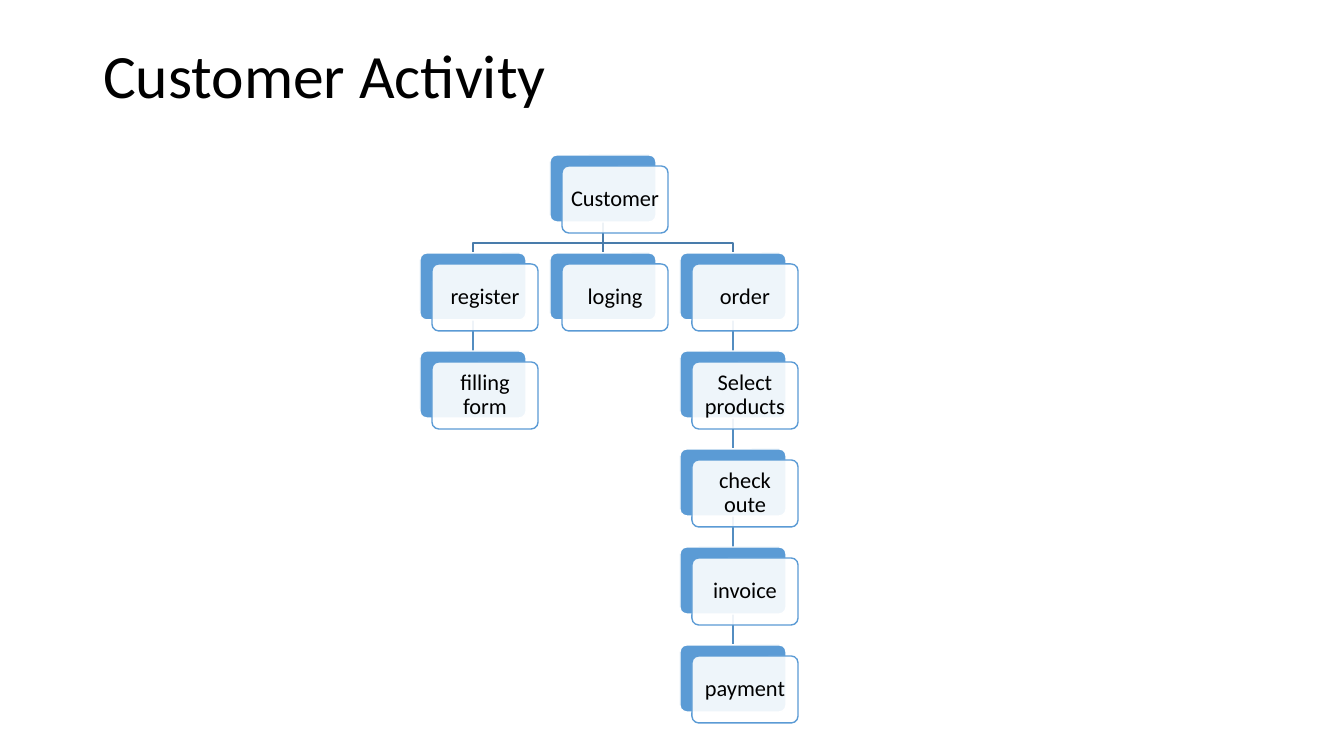
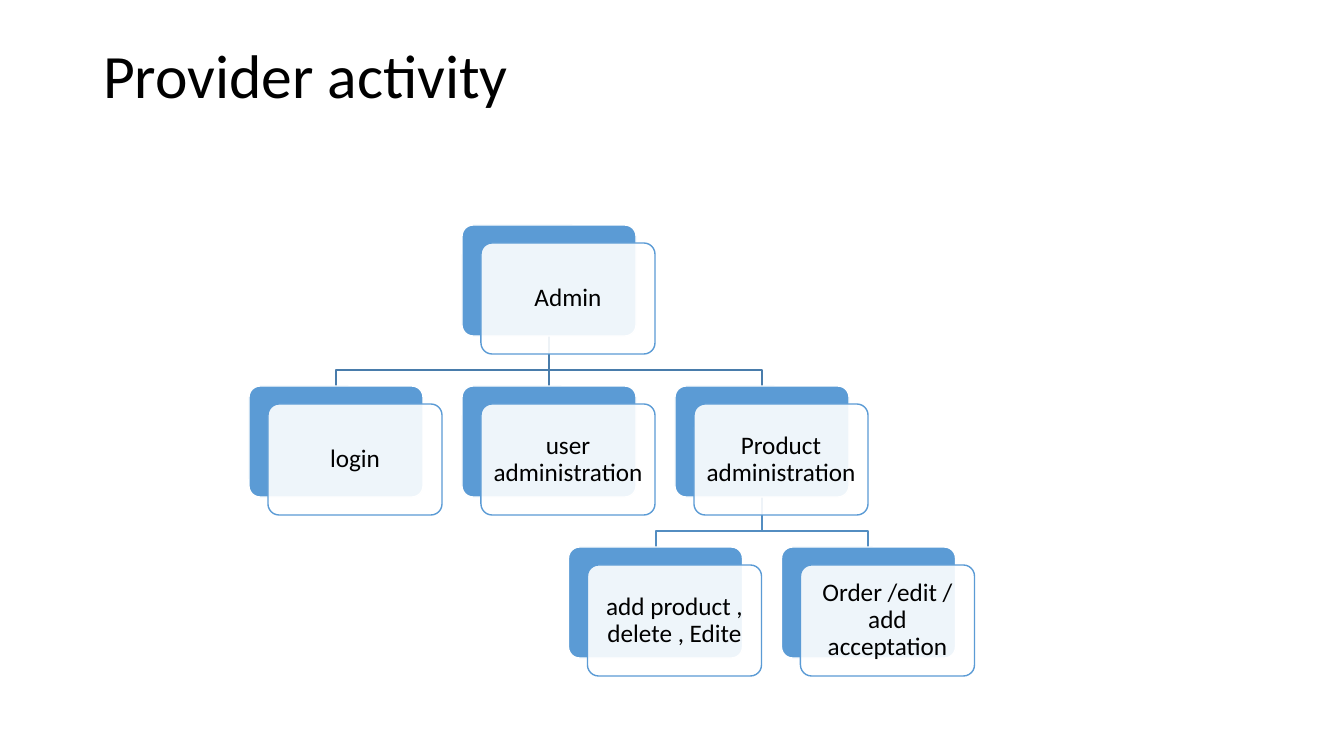
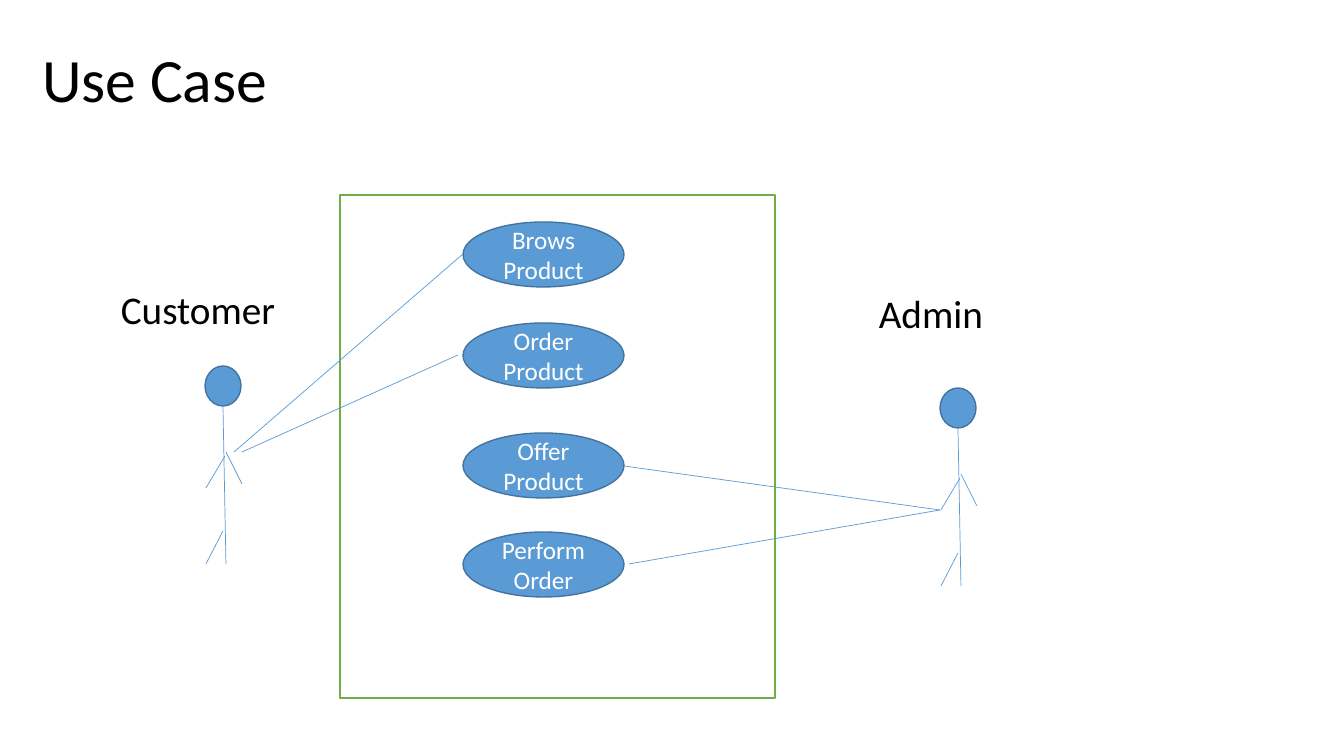
from dataclasses import dataclass

from lxml import etree
from pptx import Presentation
from pptx.dml.color import RGBColor
from pptx.enum.shapes import MSO_CONNECTOR as Connector, MSO_SHAPE as Preset
from pptx.enum.text import MSO_ANCHOR as Anchor, MSO_AUTO_SIZE as AutoSize, PP_ALIGN as Align
from pptx.oxml.ns import qn
from pptx.util import Pt

PX = 914400 / 100.8  # EMU in one pixel


@dataclass(frozen=True)
class Theme:
    """Colours, type sizes and line widths of the deck."""
    font: str = "Calibri"
    black: RGBColor = RGBColor.from_string("000000")
    white: RGBColor = RGBColor.from_string("FFFFFF")
    blue: RGBColor = RGBColor.from_string("5B9BD5")
    dark_blue: RGBColor = RGBColor.from_string("43739E")
    green: RGBColor = RGBColor.from_string("70AD47")
    first_link: RGBColor = RGBColor.from_string("497CAB")
    lower_link: RGBColor = RGBColor.from_string("538DC1")
    title_size: int = 44
    actor_size: int = 28
    case_size: int = 18
    provider_size: int = 18
    customer_size: int = 16
    outline: float = 1
    thin: float = 0.5


theme = Theme()


def add_box(shapes, preset, box, fill, line):
    """Add a filled, outlined preset shape; box is left, top, width, height in pixels."""
    shape = shapes.add_shape(preset, *[round(value * PX) for value in box])
    shape.shadow.inherit = False
    shape.fill.solid()
    shape.fill.fore_color.rgb = fill
    shape.line.color.rgb = line
    shape.line.width = Pt(theme.outline)
    return shape


def write(shape, text, size, color=theme.black, align=Align.LEFT, anchor=Anchor.MIDDLE, spacing=0.9):
    """Write one formatted run into a shape and return its text frame."""
    frame = shape.text_frame
    frame.word_wrap = True
    frame.auto_size = AutoSize.NONE
    frame.vertical_anchor = anchor
    paragraph = frame.paragraphs[0]
    paragraph.alignment = align
    paragraph.line_spacing = spacing
    run = paragraph.add_run()
    run.text = text
    run.font.name = theme.font
    run.font.size = Pt(size)
    run.font.color.rgb = color
    return frame


presentation = Presentation()
presentation.slide_width = round(1344 * PX)
presentation.slide_height = round(756 * PX)

# Slides and their titles
slides = []
for text, left, top, anchor in [
    ("Customer Activity", 93, 40, Anchor.TOP),
    ("Provider activity", 93, 40, Anchor.TOP),
    ("Use Case", 32, 10, Anchor.MIDDLE),
]:
    slide = presentation.slides.add_slide(presentation.slide_layouts[5])
    title = slide.shapes.title
    title.left, title.top = round(left * PX), round(top * PX)
    title.width, title.height = round(1159 * PX), round(146 * PX)
    write(title, text, theme.title_size, anchor=anchor)
    slides.append(slide)

# Activity trees: each node is text, column, row, index of its parent
customer_tree = dict(
    origin=(420, 155), pitch=(130, 98), card=(106, 67), offset=(12, 11),
    drop=10, inset=5, size=theme.customer_size,
    nodes=[
        ("Customer", 1, 0, None),
        ("register", 0, 1, 0),
        ("filling form", 0, 2, 1),
        ("loging", 1, 1, 0),
        ("order", 2, 1, 0),
        ("Select products", 2, 2, 4),
        ("check oute", 2, 3, 5),
        ("invoice", 2, 4, 6),
        ("payment", 2, 5, 7),
    ],
)
provider_tree = dict(
    origin=(249, 225), pitch=(213, 161), card=(174, 111), offset=(19, 18),
    drop=16, inset=6, size=theme.provider_size,
    nodes=[
        ("Admin", 1, 0, None),
        ("login", 0, 1, 0),
        ("user administration", 1, 1, 0),
        ("Product administration", 2, 1, 0),
        ("add product , delete , Edite", 1.5, 2, 3),
        ("Order /edit / add acceptation", 2.5, 2, 3),
    ],
)
for slide, tree in zip(slides, (customer_tree, provider_tree)):
    shapes = slide.shapes.add_group_shape().shapes
    width, height = tree["card"]
    shift_x, shift_y = tree["offset"]
    corners = [
        (tree["origin"][0] + column * tree["pitch"][0], tree["origin"][1] + row * tree["pitch"][1])
        for _, column, row, _ in tree["nodes"]
    ]

    for (_, _, row, parent), (left, top) in zip(tree["nodes"], corners):
        if parent is None:
            continue
        child_x = left + width / 2
        parent_x = corners[parent][0] + width / 2
        parent_y = corners[parent][1] + height
        if child_x == parent_x:
            link = shapes.add_connector(
                Connector.STRAIGHT, *[round(value * PX) for value in (parent_x, parent_y, child_x, top)])
            etree.SubElement(link.element.spPr, qn("a:effectLst"))
        else:
            bend = top - tree["drop"]
            outline = shapes.build_freeform(parent_x, parent_y, scale=PX)
            outline.add_line_segments([(parent_x, bend), (child_x, bend), (child_x, top)], close=False)
            link = outline.convert_to_shape()
            link.fill.background()
            link.shadow.inherit = False
        link.line.color.rgb = theme.first_link if row == 1 else theme.lower_link
        link.line.width = Pt(theme.outline)

    for (text, *_), (left, top) in zip(tree["nodes"], corners):
        back = add_box(shapes, Preset.ROUNDED_RECTANGLE, (left, top, width, height), theme.blue, theme.white)
        front = add_box(shapes, Preset.ROUNDED_RECTANGLE,
                        (left + shift_x, top + shift_y, width, height), theme.white, theme.blue)
        for card in (back, front):
            card.adjustments[0] = 0.1
        color = front.element.spPr.find(qn("a:solidFill"))[0]
        etree.SubElement(color, qn("a:alpha"), val="90000")
        frame = write(front, text, tree["size"], align=Align.CENTER)
        frame.margin_left = frame.margin_right = round(tree["inset"] * PX)
        frame.margin_top = frame.margin_bottom = round(tree["inset"] * PX)

# Use case: actors, system boundary, cases and their links
shapes = slides[2].shapes
thin_lines = []
limbs = [(223, 407, 226, 564), (225, 456, 206, 488), (226, 452, 242, 484), (223, 531, 206, 564)]
for shift_x, shift_y in [(0, 0), (735, 22)]:
    actor = shapes.add_group_shape().shapes
    add_box(actor, Preset.OVAL, (205 + shift_x, 366 + shift_y, 36, 40), theme.blue, theme.dark_blue)
    for x1, y1, x2, y2 in limbs:
        ends = (x1 + shift_x, y1 + shift_y, x2 + shift_x, y2 + shift_y)
        thin_lines.append(actor.add_connector(Connector.STRAIGHT, *[round(value * PX) for value in ends]))

add_box(shapes, Preset.RECTANGLE, (340, 195, 435, 503), theme.white, theme.green)
for text, top in [("Brows Product", 222), ("Order Product", 323), ("Offer Product", 433), ("Perform Order", 532)]:
    case = add_box(shapes, Preset.OVAL, (463, top, 161, 65), theme.blue, theme.dark_blue)
    write(case, text, theme.case_size, theme.white, Align.CENTER, spacing=1.0)

for text, left, top in [("Customer", 111, 239), ("Admin", 869, 243)]:
    label = shapes.add_textbox(*[round(value * PX) for value in (left, top, 230, 146)])
    write(label, text, theme.actor_size)

for ends in [(234, 452, 463, 254), (242, 452, 458, 355), (940, 510, 624, 466), (940, 510, 629, 564)]:
    thin_lines.append(shapes.add_connector(Connector.STRAIGHT, *[round(value * PX) for value in ends]))

for line in thin_lines:
    line.line.color.rgb = theme.blue
    line.line.width = Pt(theme.thin)
    etree.SubElement(line.element.spPr, qn("a:effectLst"))

presentation.save("out.pptx")
